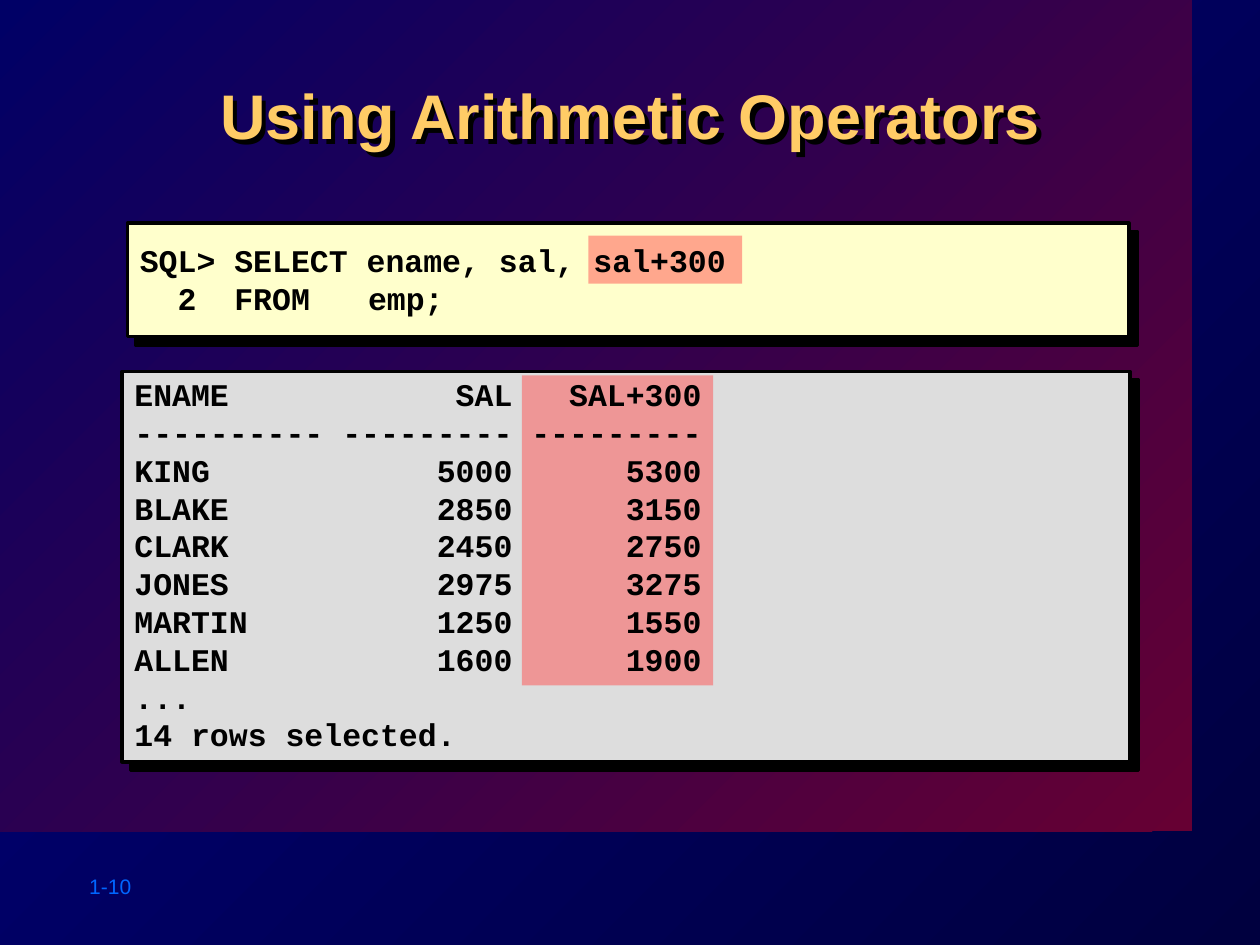
from lxml import etree
from pptx import Presentation
from pptx.dml.color import RGBColor
from pptx.enum.shapes import MSO_SHAPE
from pptx.enum.text import MSO_ANCHOR, PP_ALIGN
from pptx.oxml.ns import qn
from pptx.util import Cm, Pt

RECTANGLE = MSO_SHAPE.RECTANGLE
TOP, MIDDLE = MSO_ANCHOR.TOP, MSO_ANCHOR.MIDDLE
LEFT, CENTER = PP_ALIGN.LEFT, PP_ALIGN.CENTER

COLOURS = {
    "navy": "00003F", "blue": "000080", "wine": "660033", "indigo": "000066",
    "gold": "FFCC66", "cream": "FFFFCC", "grey": "DDDDDD", "coral": "FF5050",
    "black": "000000", "footer": "0066FF",
}


def add_text(text, left, top, width, height, font="Courier New", size=18, bold=True,
             colour="black", align=LEFT, anchor=TOP, wrap=True, tab=None):
    box = slide.shapes.add_textbox(Cm(left), Cm(top), Cm(width), Cm(height))
    frame = box.text_frame
    frame.word_wrap = wrap
    frame.vertical_anchor = anchor
    for index, line in enumerate(text.split("\n")):
        para = frame.paragraphs[0] if index == 0 else frame.add_paragraph()
        para.alignment = align
        if tab:
            tabs = etree.SubElement(para._p.get_or_add_pPr(), qn("a:tabLst"))
            etree.SubElement(tabs, qn("a:tab"), pos=str(Cm(tab)), algn="l")
        span = para.add_run()
        span.text = line
        span.font.name = font
        span.font.size = Pt(size)
        span.font.bold = bold
        span.font.color.rgb = RGBColor.from_string(COLOURS[colour])
    return box


def add_shadow(shape, distance):
    """Cast a hard black shadow to the lower right; distance is in points."""
    shape.shadow.inherit = False
    effects = shape._element.spPr.find(qn("a:effectLst"))
    shadow = etree.SubElement(effects, qn("a:outerShdw"), dist=str(Pt(distance)),
                              dir="2700000", algn="ctr", rotWithShape="0")
    etree.SubElement(shadow, qn("a:srgbClr"), val=COLOURS["black"])


deck = Presentation()
deck.slide_width, deck.slide_height = Cm(25.4), Cm(19.05)
slide = deck.slides.add_slide(deck.slide_layouts[6])

# Background and the large panel, both shaded along the diagonal
panel = slide.shapes.add_shape(RECTANGLE, 0, 0, Cm(24.03), Cm(16.76))
panel.shadow.inherit = False
panel.line.fill.background()
for fill, names in ((slide.background.fill, ("navy", "blue")),
                    (panel.fill, ("wine", "indigo"))):
    fill.gradient()
    fill.gradient_angle = 135
    for stop, name, position in zip(fill.gradient_stops, names, (0, 1)):
        stop.color.rgb = RGBColor.from_string(COLOURS[name])
        stop.position = position

add_text("1-10", 1.55, 17.48, 2.82, 0.76, font="Arial", size=12, bold=False,
         colour="footer", wrap=False)
title = add_text("Using Arithmetic Operators", 2.57, 1.42, 20.27, 2.44, font="Arial",
                 size=36, colour="gold", align=CENTER)
add_shadow(title, 4)

# Code and result cards
for colour, left, top, width, height in (("cream", 2.57, 4.5, 20.19, 2.29),
                                         ("grey", 2.46, 7.49, 20.32, 7.87)):
    card = slide.shapes.add_shape(RECTANGLE, Cm(left), Cm(top), Cm(width), Cm(height))
    card.fill.solid()
    card.fill.fore_color.rgb = RGBColor.from_string(COLOURS[colour])
    card.line.color.rgb = RGBColor.from_string(COLOURS["black"])
    card.line.width = Pt(2)
    add_shadow(card, 7.1)

# Half-transparent highlights on the expression and its result column
for left, top, width, height in ((11.86, 4.75, 3.1, 0.97), (10.52, 7.57, 3.86, 6.25)):
    highlight = slide.shapes.add_shape(RECTANGLE, Cm(left), Cm(top), Cm(width), Cm(height))
    highlight.shadow.inherit = False
    highlight.line.fill.background()
    highlight.fill.solid()
    highlight.fill.fore_color.rgb = RGBColor.from_string(COLOURS["coral"])
    tint = highlight._element.spPr.find(qn("a:solidFill"))[0]
    etree.SubElement(tint, qn("a:alpha"), val="50000")

add_text("SQL> SELECT ename, sal, sal+300\n  2  FROM\temp;", 2.57, 4.45, 20.24, 2.36,
         anchor=MIDDLE, wrap=False, tab=4.6)

salaries = {"KING": 5000, "BLAKE": 2850, "CLARK": 2450,
            "JONES": 2975, "MARTIN": 1250, "ALLEN": 1600}
rows = [("ENAME", "SAL", "SAL+300"), ("-" * 10, "-" * 9, "-" * 9)]
rows += [(name, salary, salary + 300) for name, salary in salaries.items()]
result = [f"{name:<10} {salary:>9} {raised:>9}" for name, salary, raised in rows]
result += ["...", "14 rows selected."]
add_text("\n".join(result), 2.46, 7.44, 20.4, 7.87)

deck.save("out.pptx")
